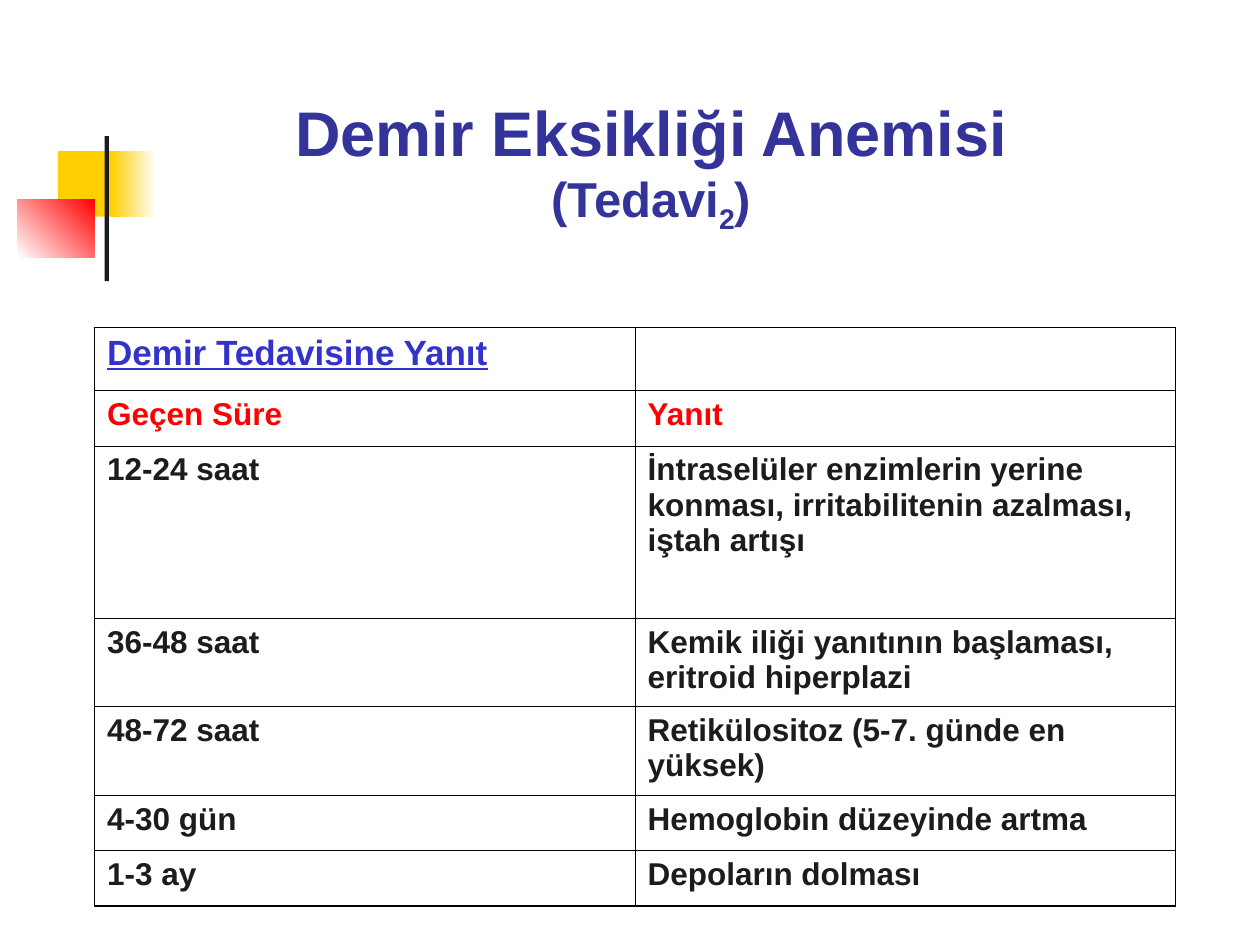
"""Build the slide on response to iron therapy: title, corner ornament and table."""
from lxml import etree
from pptx import Presentation
from pptx.dml.color import RGBColor
from pptx.enum import shapes, text
from pptx.oxml import ns
from pptx.util import Pt

COLORS = {"title": "333399", "heading": "3333CC", "label": "FF0000", "body": "1C1C1C",
          "yellow": "FFCF01", "red": "FF0000", "white": "FFFFFF", "border": "000000"}
FONT = "Arial"

TITLE_BOX = (90.7, 48.2, 563, 90)
TITLE_RUNS = [("Demir Eksikliği Anemisi", 36, 0), ("(Tedavi", 28, 0), ("2", 28, -25000), (")", 28, 0)]

ORNAMENT = [
    ((33.1, 86.4, 34.6, 37.4), ("yellow",), 0),
    ((63.4, 86.4, 25.9, 37.4), ("yellow", "white"), 0),
    ((10.1, 113.8, 43.9, 33.1), ("white", "red"), 45),
    ((59.8, 77.8, 2.4, 82.8), ("body",), 0),
]

TABLE_LEFT, TABLE_TOP, COLUMN_WIDTH = 54, 187.2, 308.9
OUTER_LINE, INNER_LINE = 1.08, 0.45
RESPONSES = [
    (36, "Demir Tedavisine Yanıt", ""),
    (31.7, "Geçen Süre", "Yanıt"),
    (98.4, "12-24 saat", "İntraselüler enzimlerin yerine konması, irritabilitenin azalması, iştah artışı"),
    (50.6, "36-48 saat", "Kemik iliği yanıtının başlaması, eritroid hiperplazi"),
    (50.6, "48-72 saat", "Retikülositoz (5-7. günde en yüksek)"),
    (31.7, "4-30 gün", "Hemoglobin düzeyinde artma"),
    (31.7, "1-3 ay", "Depoların dolması"),
]
ROW_STYLES = {0: (20, "heading"), 1: (18, "label")}
BODY_STYLE = (18, "body")


def rgb(name):
    return RGBColor.from_string(COLORS[name])


def set_font(font, size, color):
    font.name, font.size, font.bold = FONT, Pt(size), True
    font.color.rgb = rgb(color)


def add_ornament(slide):
    for box, colors, angle in ORNAMENT:
        block = slide.shapes.add_shape(shapes.MSO_SHAPE.RECTANGLE, *map(Pt, box))
        block.shadow.inherit = False
        block.line.fill.background()
        if len(colors) == 1:
            block.fill.solid()
            block.fill.fore_color.rgb = rgb(colors[0])
        else:
            block.fill.gradient()
            block.fill.gradient_angle = angle
            for stop, color in zip(block.fill.gradient_stops, colors):
                stop.color.rgb = rgb(color)


def add_title(slide):
    frame = slide.shapes.add_textbox(*map(Pt, TITLE_BOX)).text_frame
    frame.word_wrap = True
    frame.vertical_anchor = text.MSO_ANCHOR.BOTTOM
    title = frame.paragraphs[0]
    title.alignment = text.PP_ALIGN.CENTER
    for index, (words, size, baseline) in enumerate(TITLE_RUNS):
        if index == 1:
            title.add_line_break()
        run = title.add_run()
        run.text = words
        set_font(run.font, size, "title")
        if baseline:
            run._r.get_or_add_rPr().set("baseline", str(baseline))


def set_borders(cell, widths):
    properties = cell._tc.get_or_add_tcPr()
    for index, (side, width) in enumerate(zip("LRTB", widths)):
        line = etree.Element(ns.qn(f"a:ln{side}"), w=str(Pt(width)))
        fill = etree.SubElement(line, ns.qn("a:solidFill"))
        etree.SubElement(fill, ns.qn("a:srgbClr"), val=COLORS["border"])
        properties.insert(index, line)


def add_responses(slide):
    total_height = sum(height for height, *_ in RESPONSES)
    last_row = len(RESPONSES) - 1
    table = slide.shapes.add_table(len(RESPONSES), 2, Pt(TABLE_LEFT), Pt(TABLE_TOP),
                                   Pt(2 * COLUMN_WIDTH), Pt(total_height)).table
    table.first_row = table.horz_banding = False
    for column in table.columns:
        column.width = Pt(COLUMN_WIDTH)
    for r, (height, *entries) in enumerate(RESPONSES):
        table.rows[r].height = Pt(height)
        for c, words in enumerate(entries):
            cell = table.cell(r, c)
            cell.text = words
            cell.fill.background()
            entry = cell.text_frame.paragraphs[0]
            set_font(entry.font, *ROW_STYLES.get(r, BODY_STYLE))
            entry.font.underline = r == 0
            outer_sides = (c == 0, c == 1, r == 0, r == last_row)
            set_borders(cell, [OUTER_LINE if outer else INNER_LINE for outer in outer_sides])


def main():
    deck = Presentation()
    deck.slide_width, deck.slide_height = Pt(720), Pt(540)
    slide = deck.slides.add_slide(deck.slide_layouts[6])
    add_ornament(slide)
    add_title(slide)
    add_responses(slide)
    deck.save("out.pptx")


if __name__ == "__main__":
    main()
